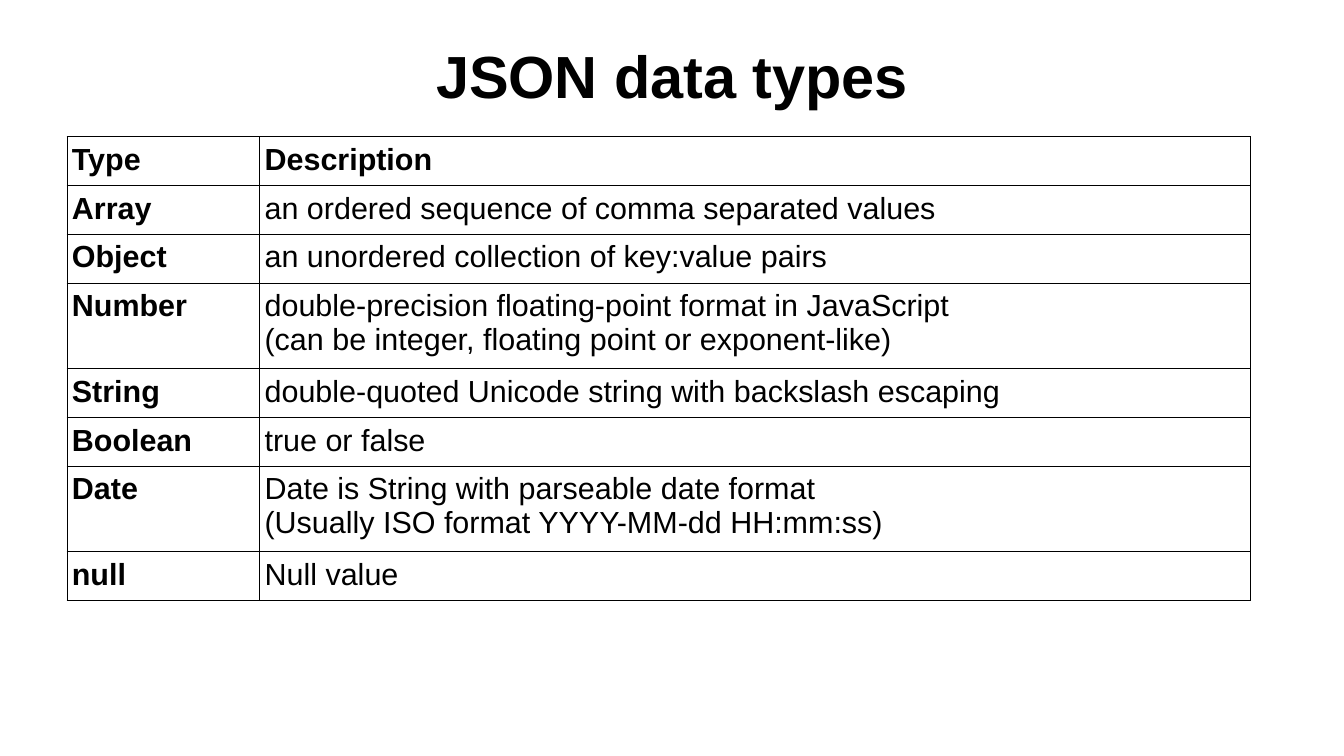
import pptx
import pptx.dml.color
import pptx.enum.text
import pptx.oxml.ns
import pptx.util
from lxml import etree
from pptx.util import Inches

COLORS = {"text": "000000", "border": "000000"}
BORDER_WIDTH = pptx.util.Pt(0.57)

# Each description is a list of paragraphs; "\n" is a line break inside one
data_types = [
    ("Type", ["Description"]),
    ("Array", ["an ordered sequence of comma separated values"]),
    ("Object", ["an unordered collection of key:value pairs"]),
    ("Number", ["double-precision floating-point format in JavaScript",
                "(can be integer, floating point or exponent-like)"]),
    ("String", ["double-quoted Unicode string with backslash escaping"]),
    ("Boolean", ["true or false"]),
    ("Date", ["Date is String with parseable date format\n"
              "(Usually ISO format YYYY-MM-dd HH:mm:ss)"]),
    ("null", ["Null value"]),
]


def add_text(paragraph, text, size, bold):
    for number, line in enumerate(text.split("\n")):
        if number:
            paragraph.add_line_break()
        run = paragraph.add_run()
        run.text = line
        run.font.name = "Arial"
        run.font.size = pptx.util.Pt(size)
        run.font.bold = bold
        run.font.color.rgb = pptx.dml.color.RGBColor.from_string(COLORS["text"])


def add_borders(cell):
    properties = cell._tc.get_or_add_tcPr()
    for side in ("a:lnL", "a:lnR", "a:lnT", "a:lnB"):
        line = etree.SubElement(properties, pptx.oxml.ns.qn(side), w=str(BORDER_WIDTH))
        fill = etree.SubElement(line, pptx.oxml.ns.qn("a:solidFill"))
        etree.SubElement(fill, pptx.oxml.ns.qn("a:srgbClr"), val=COLORS["border"])


presentation = pptx.Presentation()
presentation.slide_width = Inches(11.02)
presentation.slide_height = Inches(6.2)
slide = presentation.slides.add_slide(presentation.slide_layouts[6])

# Title
title = slide.shapes.add_textbox(Inches(0.55), Inches(0.25), Inches(9.92), Inches(0.73)).text_frame
title.word_wrap = True
title.vertical_anchor = pptx.enum.text.MSO_ANCHOR.MIDDLE
title.margin_left = title.margin_right = title.margin_top = title.margin_bottom = 0
title.paragraphs[0].alignment = pptx.enum.text.PP_ALIGN.CENTER
add_text(title.paragraphs[0], "JSON data types", 35.1, True)

# Table of types
types_table = slide.shapes.add_table(
    len(data_types), 2, Inches(0.55), Inches(1.12), Inches(9.7), Inches(3.8)).table
types_table.first_row = False
types_table.horz_banding = False
types_table.columns[0].width = Inches(1.58)
types_table.columns[1].width = Inches(8.12)

for row, (type_name, description) in enumerate(data_types):
    line_count = len("\n".join(description).split("\n"))
    types_table.rows[row].height = Inches(0.1 + 0.3 * line_count)
    for column, paragraphs in enumerate(([type_name], description)):
        cell = types_table.cell(row, column)
        cell.margin_left = cell.margin_right = Inches(0.04)
        cell.margin_top = cell.margin_bottom = Inches(0.05)
        add_borders(cell)
        cell.fill.background()
        for number, text in enumerate(paragraphs):
            frame = cell.text_frame
            paragraph = frame.add_paragraph() if number else frame.paragraphs[0]
            add_text(paragraph, text, 18, row == 0 or column == 0)

presentation.save("out.pptx")
